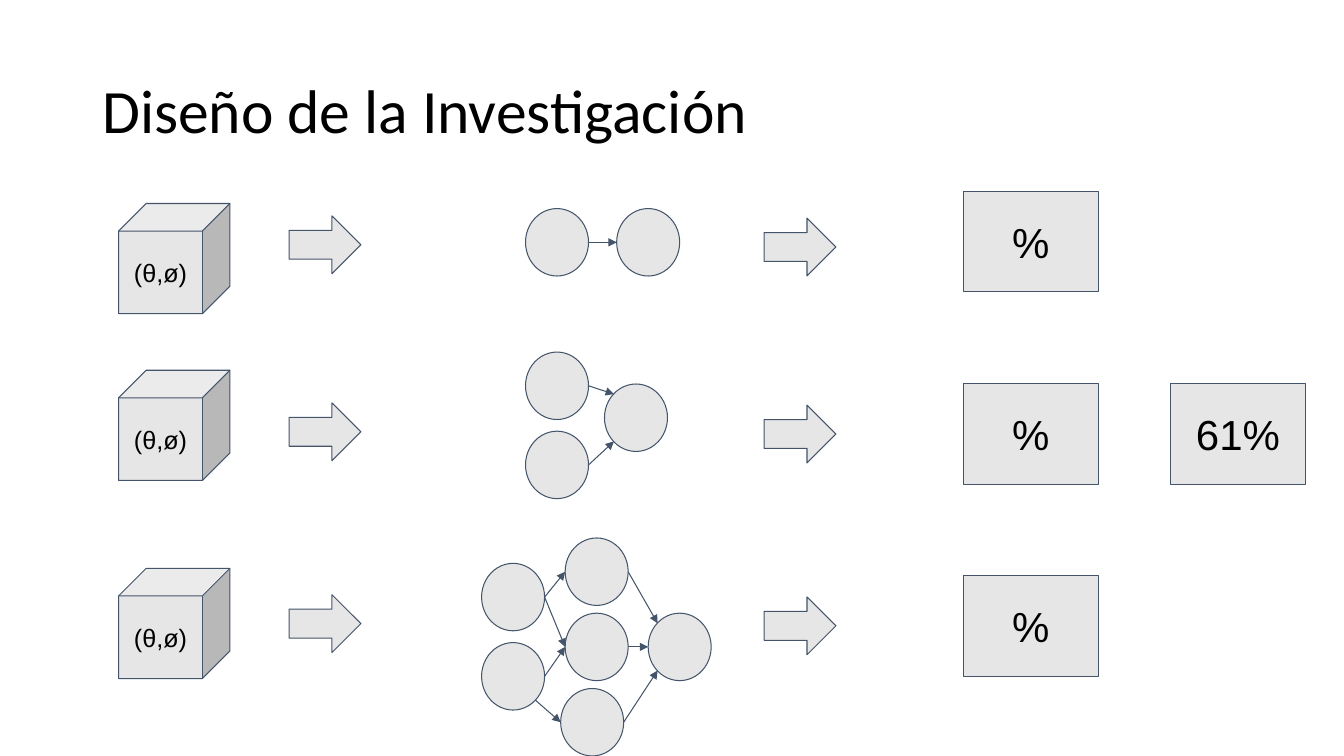
from pptx import Presentation
from pptx.util import Pt
from pptx.dml.color import RGBColor
from pptx.enum.shapes import MSO_SHAPE as Kind, MSO_CONNECTOR as Wire
from pptx.enum.text import PP_ALIGN as Align, MSO_ANCHOR as Anchor
from pptx.oxml.ns import qn
from lxml.etree import SubElement as sub


def tint(code):
    return RGBColor.from_string(code)


def write(frame, words, size, font, align):
    frame.word_wrap = True
    frame.vertical_anchor = Anchor.MIDDLE
    frame.margin_left = frame.margin_right = Pt(7.2)
    frame.margin_top = frame.margin_bottom = Pt(7.2)
    para = frame.paragraphs[0]
    para.alignment = align
    run = para.add_run()
    run.text = words
    run.font.size = Pt(size)
    run.font.name = font
    run.font.color.rgb = tint("000000")
    return para


deck = Presentation()
deck.slide_width, deck.slide_height = Pt(960), Pt(540)
slide = deck.slides.add_slide(deck.slide_layouts[6])

title = slide.shapes.add_textbox(Pt(66), Pt(28.8), Pt(828), Pt(104.4))
para = write(title.text_frame, "Diseño de la Investigación", 44, "Calibri", Align.LEFT)
para.line_spacing = 0.9

wide, high = 45, 48.2
sites = {"e": (1, 0.5), "w": (0, 0.5), "nw": (0.15, 0.15),
         "sw": (0.15, 0.85), "se": (0.85, 0.85)}

rows = [
    (145.4, 154.2, 136.6, ["%"],
     [(375.4, 149), (440.5, 149)],
     [(0, "e", 1, "w")]),
    (264.5, 287.8, 273.8, ["%", "61%"],
     [(375.4, 251.5), (375.4, 308), (431.8, 274.3)],
     [(0, "e", 2, "nw"), (1, "e", 2, "sw")]),
    (406, 424.8, 411, ["%"],
     [(344, 402.4), (344, 459), (463, 438), (403.7, 384.3), (403.7, 438), (400.5, 491.8)],
     [(0, "e", 3, "w"), (1, "se", 5, "w"), (1, "e", 4, "w"), (0, "e", 4, "w"),
      (3, "e", 2, "nw"), (4, "e", 2, "w"), (5, "e", 2, "sw")]),
]

for cube, arrow, box, rates, nodes, links in rows:
    group = slide.shapes.add_group_shape()
    parts = [(Kind.CUBE, 84.7, cube, 79.5, 78.7, "(θ,ø)", 18),
             (Kind.RIGHT_ARROW, 206.5, arrow, 51.3, 41.3, "", 0),
             (Kind.RIGHT_ARROW, 545.8, arrow + 1.6, 51.3, 41.3, "", 0)]
    parts += [(Kind.RECTANGLE, 688.2 + 148 * i, box, 96.2, 72, rate, 30)
              for i, rate in enumerate(rates)]
    parts += [(Kind.OVAL, x, y, wide, high, "", 0) for x, y in nodes]

    for kind, x, y, w, h, words, size in parts:
        shape = group.shapes.add_shape(kind, Pt(x), Pt(y), Pt(w), Pt(h))
        shape.shadow.inherit = False
        shape.fill.solid()
        shape.fill.fore_color.rgb = tint("E7E6E6")
        shape.line.color.rgb = tint("44546A")
        shape.line.width = Pt(0.75)
        if words:
            write(shape.text_frame, words, size, "Arial", Align.CENTER)

    for start, out, end, into in links:
        ends = []
        for node, site in ((start, out), (end, into)):
            (x, y), (u, v) = nodes[node], sites[site]
            ends += [Pt(x + u * wide), Pt(y + v * high)]
        link = group.shapes.add_connector(Wire.STRAIGHT, *ends)
        link.line.color.rgb = tint("44546A")
        link.line.width = Pt(0.75)
        sub(link.line._get_or_add_ln(), qn("a:tailEnd"), type="triangle", w="med", len="med")
        sub(link._element.spPr, qn("a:effectLst"))

deck.save("out.pptx")
